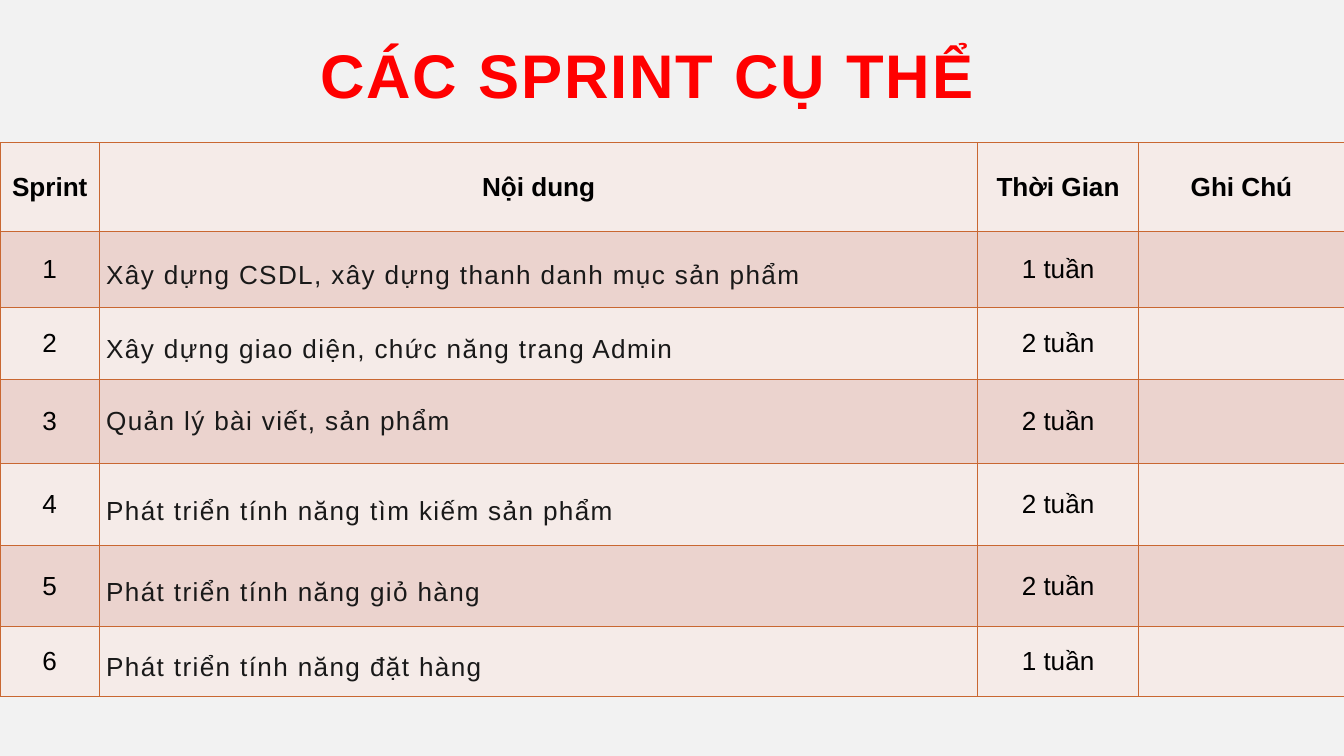
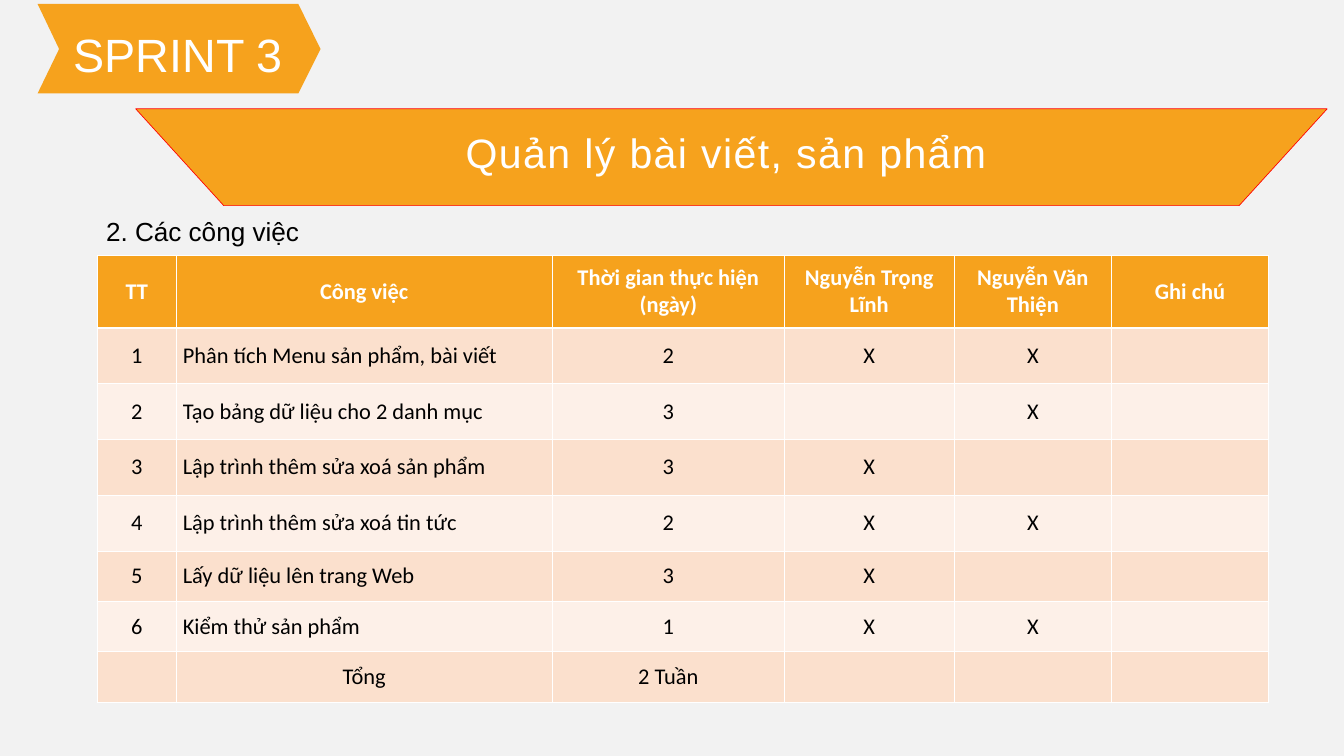
from lxml import etree
from pptx import Presentation
from pptx.dml.color import RGBColor
from pptx.enum.text import MSO_ANCHOR, PP_ALIGN
from pptx.oxml.ns import qn
from pptx.util import Inches, Pt

LEFT, CENTER = PP_ALIGN.LEFT, PP_ALIGN.CENTER
MIDDLE = MSO_ANCHOR.MIDDLE

BLACK = RGBColor(0x00, 0x00, 0x00)
WHITE = RGBColor(0xFF, 0xFF, 0xFF)
RED = RGBColor(0xFF, 0x00, 0x00)
INK = RGBColor(0x19, 0x19, 0x19)
PAGE = RGBColor(0xF2, 0xF2, 0xF2)
ORANGE = RGBColor(0xF6, 0xA2, 0x1D)
PEACH = RGBColor(0xFB, 0xE0, 0xCD)
CREAM = RGBColor(0xFD, 0xF0, 0xE8)
ROSE = RGBColor(0xEB, 0xD3, 0xCE)
PALE_ROSE = RGBColor(0xF5, 0xEB, 0xE8)
RUST = RGBColor(0xC9, 0x67, 0x31)

TITLE = {"name": "Arial", "size": Pt(66), "bold": True}
TAG = {"name": "Arial", "size": Pt(50)}
BANNER = {"name": "Arial", "size": Pt(44)}
BODY = {"name": "Arial", "size": Pt(28), "bold": False}
BODY_HEAD = {**BODY, "bold": True}
TASK = {"name": "Calibri", "size": Pt(24), "bold": False}
TASK_HEAD = {**TASK, "bold": True}

SPRINT_COLUMNS = [1.48, 13.07, 2.39, 3.07]
SPRINT_ROWS = [1.33, 1.12, 1.08, 1.25, 1.22, 1.2, 1.04]
SPRINTS = [
    ["Sprint", "Nội dung", "Thời Gian", "Ghi Chú"],
    ["1", "Xây dựng CSDL, xây dựng thanh danh mục sản phẩm", "1 tuần", ""],
    ["2", "Xây dựng giao diện, chức năng trang Admin", "2 tuần", ""],
    ["3", "Quản lý bài viết, sản phẩm", "2 tuần", ""],
    ["4", "Phát triển tính năng tìm kiếm sản phẩm", "2 tuần", ""],
    ["5", "Phát triển tính năng giỏ hàng", "2 tuần", ""],
    ["6", "Phát triển tính năng đặt hàng", "1 tuần", ""],
]
SINGLE_SPACED_SPRINT = 3

TASK_COLUMNS = [1.17, 5.6, 3.45, 2.53, 2.34, 2.34]
TASK_ROWS = [1.08] + [0.83] * 4 + [0.75] * 3
TASKS = [
    ["TT", "Công việc", "Thời gian thực hiện\n(ngày)", "Nguyễn Trọng Lĩnh",
     "Nguyễn Văn Thiện", "Ghi chú"],
    ["1", "Phân tích Menu sản phẩm, bài viết", "2", "X", "X", ""],
    ["2", "Tạo bảng dữ liệu cho 2 danh mục", "3", "", "X", ""],
    ["3", "Lập trình thêm sửa xoá sản phẩm", "3", "X", "", ""],
    ["4", "Lập trình thêm sửa xoá tin tức", "2", "X", "X", ""],
    ["5", "Lấy dữ liệu lên trang Web", "3", "X", "", ""],
    ["6", "Kiểm thử sản phẩm", "1", "X", "X", ""],
    ["", "Tổng", "2 Tuần", "", "", ""],
]

CHEVRON = [(4.44, 1.39), (0.56, 1.39), (0.88, 0.73), (0.56, 0.06),
           (4.44, 0.06), (4.77, 0.73)]
TRAPEZOID = [(18.44, 3.06), (19.75, 1.62), (2.02, 1.62), (3.33, 3.06)]


def style_text(frame, font, color, align=CENTER, leading=None, tracking=0):
    """Format every paragraph and run of a text frame."""
    for paragraph in frame.paragraphs:
        paragraph.alignment = align
        if leading:
            paragraph.line_spacing = Pt(leading)
        for run in paragraph.runs:
            for attribute, value in font.items():
                setattr(run.font, attribute, value)
            run.font.color.rgb = color
            if tracking:
                run.font._element.set("spc", str(round(tracking * 100)))


def add_text(slide, box, text, font, color, inset=None, **style):
    """Add a wrapped text box, with an equal inset on all sides if given."""
    frame = slide.shapes.add_textbox(*map(Inches, box)).text_frame
    frame.word_wrap = True
    if inset is not None:
        for side in ("left", "top", "right", "bottom"):
            setattr(frame, f"margin_{side}", Inches(inset))
    frame.text = text
    style_text(frame, font, color, **style)


def add_outline(slide, points, fill, line=None):
    """Add a closed polygon through points given in inches."""
    corners = [(Inches(x), Inches(y)) for x, y in points]
    builder = slide.shapes.build_freeform(*corners[0])
    builder.add_line_segments(corners[1:], close=True)
    outline = builder.convert_to_shape()
    outline.shadow.inherit = False
    outline.fill.solid()
    outline.fill.fore_color.rgb = fill
    if line:
        outline.line.color.rgb = line
        outline.line.width = Pt(0.75)
    else:
        outline.line.fill.background()


def set_borders(cell, color, top=1, bottom=1):
    """Draw the four cell borders, one point wide unless stated."""
    properties = cell._tc.get_or_add_tcPr()
    widths = {"lnL": 1, "lnR": 1, "lnT": top, "lnB": bottom}
    for position, (side, width) in enumerate(widths.items()):
        border = etree.Element(qn(f"a:{side}"), w=str(Pt(width)))
        paint = etree.SubElement(border, qn("a:solidFill"))
        etree.SubElement(paint, qn("a:srgbClr"), val=str(color))
        properties.insert(position, border)


def add_grid(slide, corner, columns, rows, content, fills, border,
             style_cell, header_rule=1):
    """Add a table with a header fill and two alternating body fills."""
    size = (sum(columns), sum(rows))
    table = slide.shapes.add_table(
        len(rows), len(columns), *map(Inches, corner + size)).table
    table.first_row = table.horz_banding = False
    for column, width in zip(table.columns, columns):
        column.width = Inches(width)
    for row, height in zip(table.rows, rows):
        row.height = Inches(height)
    header_fill, *bands = fills
    for r, texts in enumerate(content):
        for c, text in enumerate(texts):
            cell = table.cell(r, c)
            cell.text = text
            cell.vertical_anchor = MIDDLE
            cell.fill.solid()
            cell.fill.fore_color.rgb = bands[(r - 1) % 2] if r else header_fill
            set_borders(cell, border, top=header_rule if r == 1 else 1,
                        bottom=1 if r else header_rule)
            style_text(cell.text_frame, **style_cell(r, c))


def sprint_style(row, column):
    """Return the text format of a cell in the sprint overview."""
    if row == 0:
        return {"font": BODY_HEAD, "color": BLACK}
    if column == 1:
        leading = None if row == SINGLE_SPACED_SPRINT else 45
        return {"font": BODY, "color": INK, "align": LEFT,
                "leading": leading, "tracking": 1.5}
    return {"font": BODY, "color": BLACK}


def task_style(row, column):
    """Return the text format of a cell in the task list."""
    if row == 0:
        return {"font": TASK_HEAD, "color": WHITE}
    is_task_name = column == 1 and row < len(TASKS) - 1
    return {"font": TASK, "color": BLACK,
            "align": LEFT if is_task_name else CENTER}


def add_page(deck):
    """Add a blank slide with the shared background."""
    slide = deck.slides.add_slide(deck.slide_layouts[6])
    slide.background.fill.solid()
    slide.background.fill.fore_color.rgb = PAGE
    return slide


def add_sprint_overview(deck):
    """Build the slide listing all sprints."""
    slide = add_page(deck)
    add_grid(slide, (0, 2.12), SPRINT_COLUMNS, SPRINT_ROWS, SPRINTS,
             (PALE_ROSE, ROSE, PALE_ROSE), RUST, sprint_style)
    add_text(slide, (2.77, 1.03, 13.72, 0.67), "CÁC SPRINT CỤ THỂ", TITLE, RED,
             inset=0, leading=44.3, tracking=2.1)


def add_sprint_tasks(deck):
    """Build the slide with the tasks of sprint 3."""
    slide = add_page(deck)
    add_outline(slide, CHEVRON, ORANGE)
    add_outline(slide, TRAPEZOID, ORANGE, RED)
    add_text(slide, (-0.37, 0.25, 6.05, 0.9), "SPRINT 3", TAG, WHITE,
             inset=0, leading=70)
    add_text(slide, (2.9, 2.01, 15.82, 0.63), "Quản lý bài viết, sản phẩm",
             BANNER, WHITE, inset=0, leading=45, tracking=1.5)
    add_text(slide, (1.48, 3.16, 9.33, 0.57), "2. Các công việc", BODY, BLACK,
             align=LEFT)
    add_grid(slide, (1.45, 3.8), TASK_COLUMNS, TASK_ROWS, TASKS,
             (ORANGE, PEACH, CREAM), WHITE, task_style, header_rule=3)


def main():
    """Build and save the deck."""
    deck = Presentation()
    deck.slide_width, deck.slide_height = Inches(20), Inches(11.25)
    add_sprint_overview(deck)
    add_sprint_tasks(deck)
    deck.save("out.pptx")


if __name__ == "__main__":
    main()
